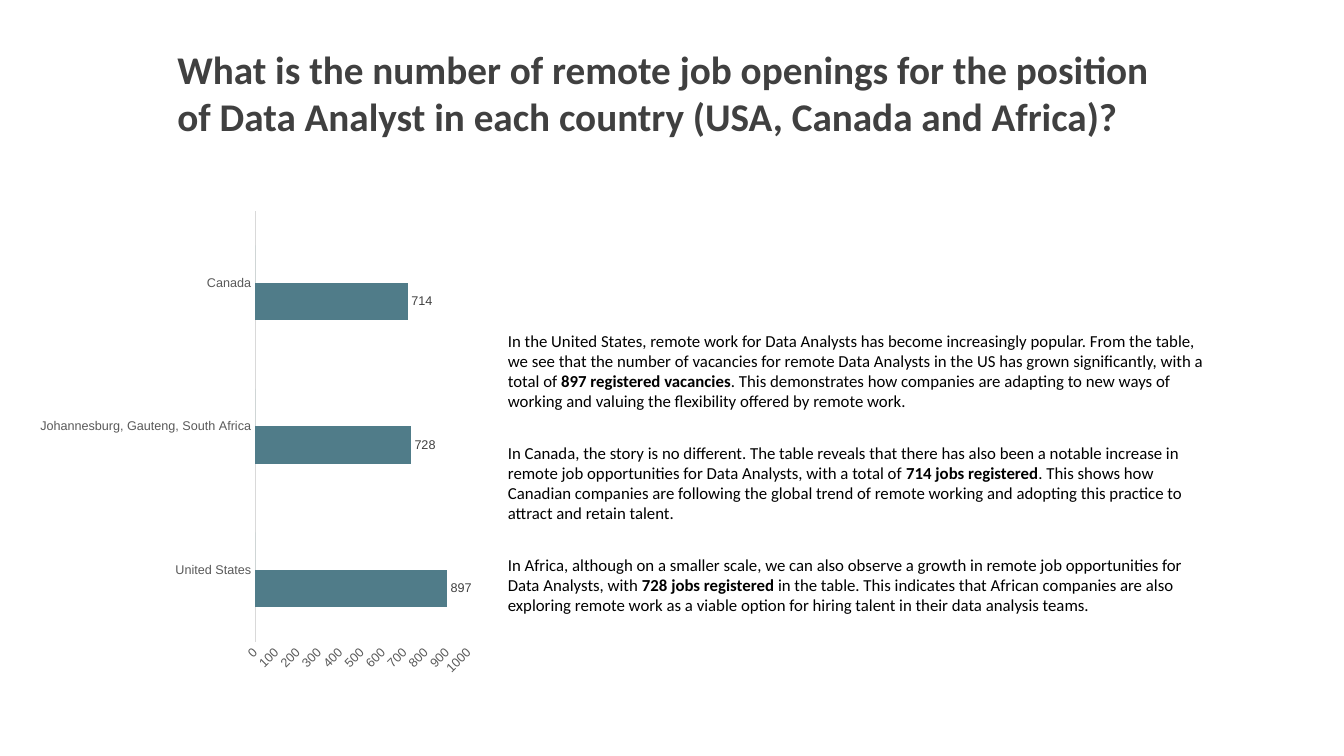
from dataclasses import dataclass

import pptx
import pptx.chart.axis
import pptx.chart.data
import pptx.dml.color
import pptx.enum.chart
import pptx.enum.text
import pptx.slide
import pptx.util

Pt = pptx.util.Pt
RGBColor = pptx.dml.color.RGBColor

BLACK = RGBColor(0x00, 0x00, 0x00)
DARK_GREY = RGBColor(0x40, 0x40, 0x40)
AXIS_GREY = RGBColor(0x59, 0x59, 0x59)
LINE_GREY = RGBColor(0xD9, 0xD9, 0xD9)
TEAL = RGBColor(0x50, 0x7C, 0x89)
LIGHT_TEAL = RGBColor(0x8C, 0xBA, 0xBE)

COMMENT_TOP, COMMENT_STEP = 232.5, 80


@dataclass
class Comment:
    before: str
    figure: str
    after: str
    height: float


COMMENTS = [
    Comment(
        "In the United States, remote work for Data Analysts has become increasingly popular. "
        "From the table, we see that the number of vacancies for remote Data Analysts in the US "
        "has grown significantly, with a total of ",
        "897 registered vacancies",
        ". This demonstrates how companies are adapting to new ways of working and valuing the "
        "flexibility offered by remote work.",
        65.5,
    ),
    Comment(
        "In Canada, the story is no different. The table reveals that there has also been a "
        "notable increase in remote job opportunities for Data Analysts, with a total of ",
        "714 jobs registered",
        ". This shows how Canadian companies are following the global trend of remote working "
        "and adopting this practice to attract and retain talent.",
        65.5,
    ),
    Comment(
        "In Africa, although on a smaller scale, we can also observe a growth in remote job "
        "opportunities for Data Analysts, with ",
        "728 jobs registered ",
        "in the table. This indicates that African companies are also exploring remote work as "
        "a viable option for hiring talent in their data analysis teams.",
        51,
    ),
]


def set_font(font: pptx.text.text.Font, name: str, size: float, color: RGBColor) -> None:
    font.name = name
    font.size = Pt(size)
    font.color.rgb = color


def add_question(slide: pptx.slide.Slide) -> None:
    question = slide.shapes.title
    question.left, question.top = Pt(119.5), Pt(28.8)
    question.width, question.height = Pt(720.7), Pt(75)
    frame = question.text_frame
    frame.text = (
        "What is the number of remote job openings for the position of Data Analyst "
        "in each country (USA, Canada and Africa)?"
    )
    frame.word_wrap = True
    frame.auto_size = pptx.enum.text.MSO_AUTO_SIZE.SHAPE_TO_FIT_TEXT
    frame.vertical_anchor = pptx.enum.text.MSO_ANCHOR.TOP
    paragraph = frame.paragraphs[0]
    paragraph.alignment = pptx.enum.text.PP_ALIGN.LEFT
    set_font(paragraph.font, "Calibri", 28, DARK_GREY)
    paragraph.font.bold = True


def add_comment(slide: pptx.slide.Slide, comment: Comment, top: float) -> None:
    box = slide.shapes.add_textbox(Pt(355.7), Pt(top), Pt(513.5), Pt(comment.height))
    frame = box.text_frame
    frame.word_wrap = True
    frame.auto_size = pptx.enum.text.MSO_AUTO_SIZE.SHAPE_TO_FIT_TEXT
    paragraph = frame.paragraphs[0]
    set_font(paragraph.font, "Calibri", 12, BLACK)
    for text in (comment.before, comment.figure, comment.after):
        run = paragraph.add_run()
        run.text = text
        if text == comment.figure:
            run.font.bold = True


def add_openings_chart(slide: pptx.slide.Slide) -> None:
    openings = pptx.chart.data.CategoryChartData()
    openings.categories = ["United States", "Johannesburg, Gauteng, South Africa", "Canada"]
    openings.add_series("Series 1", (897, 728, 714))
    openings.add_series("Series 2", (0, 0, 0))
    chart = slide.shapes.add_chart(
        pptx.enum.chart.XL_CHART_TYPE.BAR_CLUSTERED,
        Pt(22.3), Pt(144), Pt(322.6), Pt(345.6), openings,
    ).chart
    chart.has_title = False
    chart.has_legend = False
    set_font(chart.font, "Arial", 10, BLACK)

    # Bars and value labels
    plot = chart.plots[0]
    plot.gap_width = 182
    plot.overlap = 0
    plot.vary_by_categories = False
    for series, color in zip(plot.series, (TEAL, LIGHT_TEAL)):
        series.format.fill.solid()
        series.format.fill.fore_color.rgb = color
    labels = plot.series[0].data_labels
    labels.show_value = True
    labels.position = pptx.enum.chart.XL_LABEL_POSITION.OUTSIDE_END
    set_font(labels.font, "Arial", 9, DARK_GREY)

    # Axes
    countries, counts = chart.category_axis, chart.value_axis
    for axis in (countries, counts):
        axis.has_major_gridlines = False
        axis.major_tick_mark = pptx.enum.chart.XL_TICK_MARK.NONE
        axis.minor_tick_mark = pptx.enum.chart.XL_TICK_MARK.NONE
        set_font(axis.tick_labels.font, "Arial", 9, AXIS_GREY)
    countries.format.line.color.rgb = LINE_GREY
    countries.format.line.width = Pt(0.75)
    counts.format.line.fill.background()
    counts.minimum_scale, counts.maximum_scale, counts.major_unit = 0, 1000, 100
    # Slant the count labels by 45 degrees
    counts._element.txPr.bodyPr.set("rot", "-2700000")


def main() -> None:
    deck = pptx.Presentation()
    deck.slide_width, deck.slide_height = Pt(960), Pt(540)
    slide = deck.slides.add_slide(deck.slide_layouts.get_by_name("Title Only"))
    add_question(slide)
    add_openings_chart(slide)
    for index, comment in enumerate(COMMENTS):
        add_comment(slide, comment, COMMENT_TOP + index * COMMENT_STEP)
    deck.save("out.pptx")


if __name__ == "__main__":
    main()
